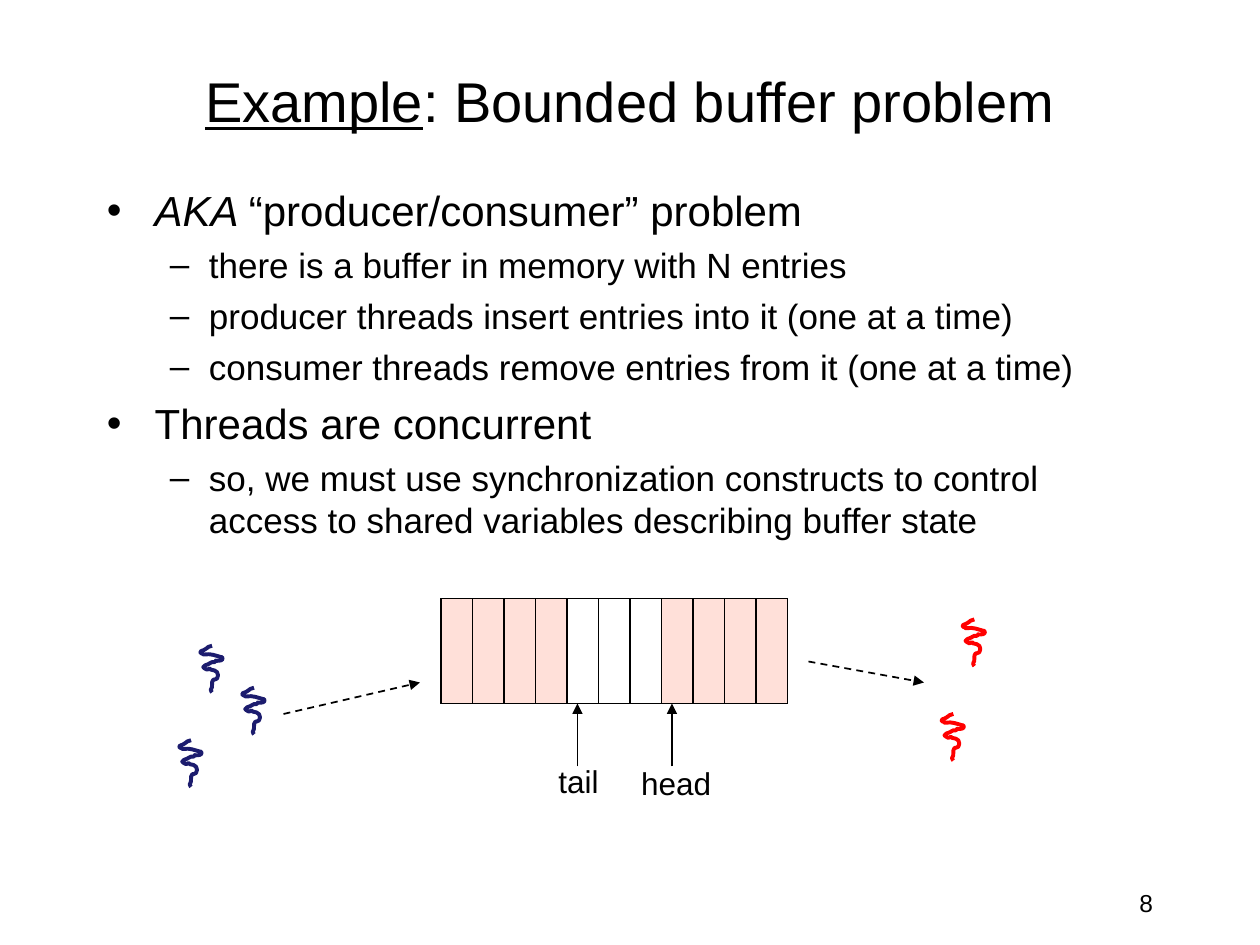
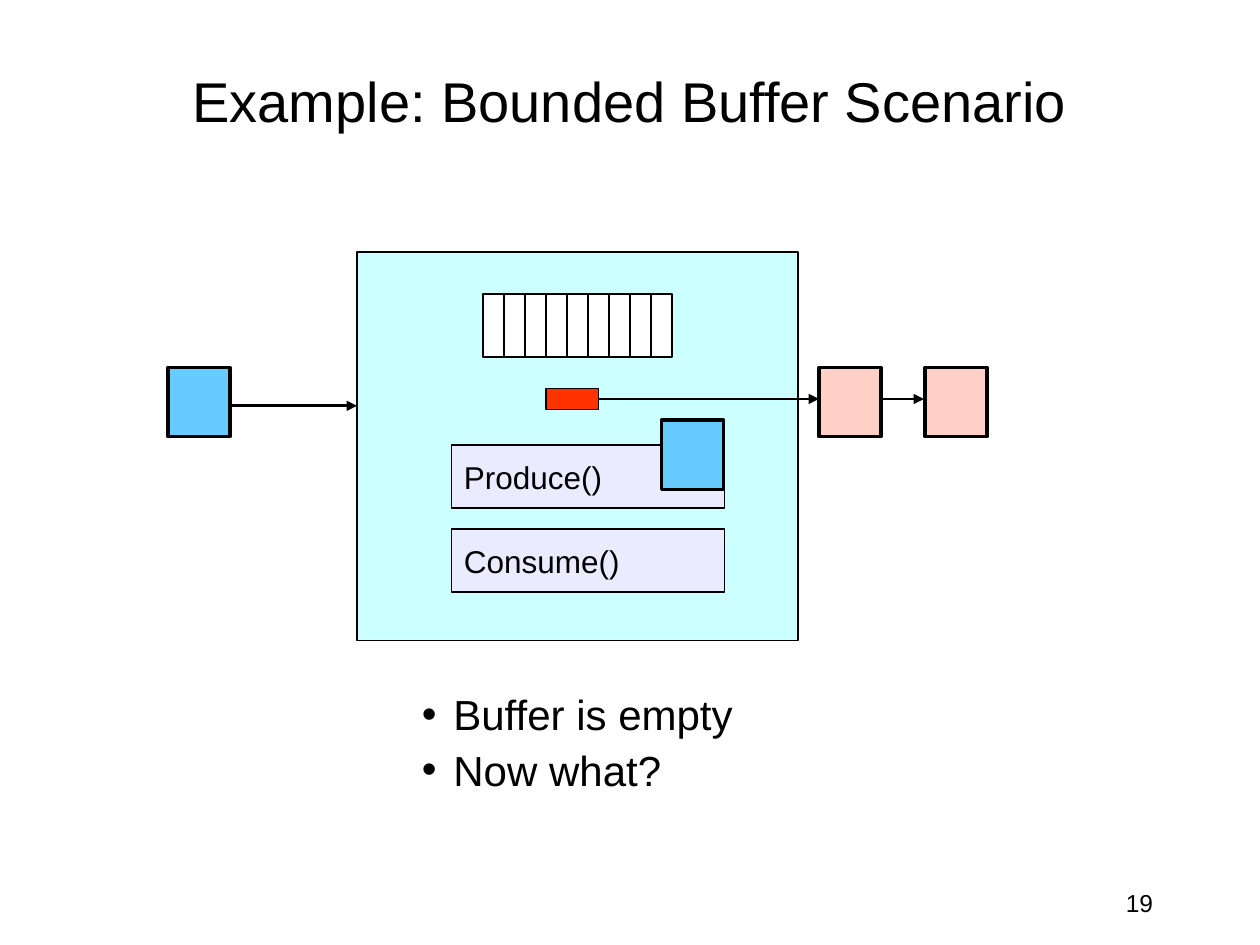
from dataclasses import dataclass

from lxml.etree import SubElement
from pptx import Presentation
from pptx.dml.color import RGBColor
from pptx.enum.dml import MSO_LINE
from pptx.enum.shapes import MSO_CONNECTOR, MSO_SHAPE
from pptx.enum.text import MSO_ANCHOR, PP_ALIGN
from pptx.oxml.ns import qn
from pptx.util import Inches, Pt


@dataclass(frozen=True)
class Theme:
    font: str = "Arial"
    ink: str = "000000"
    paper: str = "FFFFFF"
    used_entry: str = "FFE0D9"
    producer_thread: str = "1C1C6E"
    consumer_thread: str = "FF0000"
    monitor: str = "CCFFFF"
    procedure: str = "EBEBFF"
    producer: str = "66CCFF"
    consumer: str = "FFD0C5"
    condition: str = "FF3300"
    title_size: int = 32
    heading_size: int = 24
    detail_size: int = 20
    label_size: int = 18
    number_size: int = 14
    thin: float = 1
    medium: float = 1.5
    thick: float = 2
    squiggle: float = 2.25


@dataclass(frozen=True)
class Bullet:
    mark: str
    size: int
    left: float
    hanging: float
    space: float


THEME = Theme()
TOPIC = Bullet("•", THEME.heading_size, 0.38, 0.38, 6)
DETAIL = Bullet("–", THEME.detail_size, 0.81, 0.31, 5)
REMARK = Bullet("•", THEME.heading_size, 0.25, 0.25, 3)

UNIT = Inches(1) / 12
SQUIGGLE_START = (10, 0)
SQUIGGLE_CURVES = [
    ((9, 0), (8, 1), (7, 1)), ((6, 2), (3, 4), (2, 4)),
    ((1, 4), (0, 5), (1, 6)), ((2, 6), (3, 6), (3, 7)),
    ((4, 7), (4, 7), (4, 7)), ((9, 6), (13, 8), (17, 9)),
    ((18, 9), (18, 9), (18, 9)), ((20, 12), (15, 12), (14, 12)),
    ((11, 12), (15, 11), (12, 13)), ((11, 13), (11, 13), (10, 13)),
    ((4, 16), (11, 13), (6, 15)), ((5, 15), (4, 16), (4, 16)),
    ((3, 16), (3, 17), (3, 17)), ((3, 18), (5, 18), (6, 19)),
    ((7, 19), (8, 18), (8, 18)), ((9, 18), (9, 19), (9, 19)),
    ((11, 19), (13, 20), (14, 21)), ((15, 22), (15, 25), (14, 26)),
    ((13, 27), (11, 27), (11, 27)), ((10, 29), (10, 28), (10, 31)),
    ((10, 32), (10, 34), (9, 35)), ((10, 37), (9, 36), (10, 37)),
]


def grid(*units):
    return [round(unit * UNIT) for unit in units]


def colour(value):
    return RGBColor.from_string(value)


class Deck:
    def __init__(self, theme):
        self.theme = theme
        self.presentation = Presentation()
        self.presentation.slide_width, self.presentation.slide_height = grid(120, 90)
        self.slide = None

    def start_slide(self, title, number, underlined=""):
        self.slide = self.presentation.slides.add_slide(self.presentation.slide_layouts[6])
        self.text(86, 84, 25, 4, str(number), self.theme.number_size, PP_ALIGN.RIGHT)
        frame = self.text(9, 5, 102, 9, underlined or title, self.theme.title_size,
                          PP_ALIGN.CENTER)
        frame.vertical_anchor = MSO_ANCHOR.MIDDLE
        if underlined:
            paragraph = frame.paragraphs[0]
            paragraph.runs[0].font.underline = True
            paragraph.add_run().text = title
            self.format_runs(paragraph, self.theme.title_size)

    def format_runs(self, paragraph, size):
        for run in paragraph.runs:
            run.font.name = self.theme.font
            run.font.size = Pt(size)
            run.font.color.rgb = colour(self.theme.ink)

    def text(self, left, top, width, height, words, size, align=PP_ALIGN.LEFT):
        box = self.slide.shapes.add_textbox(*grid(left, top, width, height))
        frame = box.text_frame
        frame.word_wrap = True
        frame.text = words
        frame.paragraphs[0].alignment = align
        self.format_runs(frame.paragraphs[0], size)
        return frame

    def label(self, left, top, width, words):
        frame = self.text(left, top, width, 4.8, words, self.theme.label_size,
                          PP_ALIGN.CENTER)
        frame.paragraphs[0].space_before = Pt(2.2)

    def bullets(self, left, top, width, height, items):
        box = self.slide.shapes.add_textbox(*grid(left, top, width, height))
        frame = box.text_frame
        frame.word_wrap = True
        for index, (bullet, words) in enumerate(items):
            paragraph = frame.add_paragraph() if index else frame.paragraphs[0]
            paragraph.text = words
            paragraph.space_before = Pt(bullet.space)
            self.format_runs(paragraph, bullet.size)
            properties = paragraph._p.get_or_add_pPr()
            properties.set("marL", str(Inches(bullet.left)))
            properties.set("indent", str(-Inches(bullet.hanging)))
            SubElement(properties, qn("a:buFont")).set("typeface", self.theme.font)
            SubElement(properties, qn("a:buChar")).set("char", bullet.mark)
        return frame

    def outline(self, shape, line_colour, width):
        shape.line.color.rgb = colour(line_colour)
        shape.line.width = Pt(width)

    def box(self, left, top, width, height, fill=None, line=THEME.thin):
        shape = self.slide.shapes.add_shape(MSO_SHAPE.RECTANGLE,
                                            *grid(left, top, width, height))
        shape.shadow.inherit = False
        if fill:
            shape.fill.solid()
            shape.fill.fore_color.rgb = colour(fill)
        else:
            shape.fill.background()
        self.outline(shape, self.theme.ink, line)
        return shape

    def procedure(self, left, top, name):
        frame = self.box(left, top, 26, 6, self.theme.procedure).text_frame
        frame.word_wrap = True
        frame.vertical_anchor = MSO_ANCHOR.MIDDLE
        frame.text = name
        frame.paragraphs[0].alignment = PP_ALIGN.LEFT
        frame.paragraphs[0].space_before = Pt(2.2)
        self.format_runs(frame.paragraphs[0], self.theme.label_size)

    def thread_box(self, left, top, fill):
        self.box(left, top, 5.9, 6.6, fill, self.theme.thick)

    def line(self, start, end, width=THEME.thin, arrow=False, dashed=False):
        connector = self.slide.shapes.add_connector(MSO_CONNECTOR.STRAIGHT,
                                                    *grid(*start, *end))
        self.outline(connector, self.theme.ink, width)
        if dashed:
            connector.line.dash_style = MSO_LINE.DASH
        properties = connector._element.spPr
        if arrow:
            SubElement(properties.find(qn("a:ln")), qn("a:tailEnd")).set("type", "triangle")
        SubElement(properties, qn("a:effectLst"))

    def buffer(self, left, top, entry_width, height, entries, fill=None):
        self.box(left, top, entry_width * entries, height, fill)
        for entry in range(1, entries):
            x = left + entry * entry_width
            self.line((x, top), (x, top + height))

    def squiggle(self, left, top, line_colour):
        builder = self.slide.shapes.build_freeform(*SQUIGGLE_START, scale=Inches(0.01))
        builder.add_line_segments([point for curve in SQUIGGLE_CURVES for point in curve],
                                  close=False)
        shape = builder.convert_to_shape(*grid(left, top))
        shape.shadow.inherit = False
        shape.fill.background()
        self.outline(shape, line_colour, self.theme.squiggle)
        outline = next(shape._element.iter(qn("a:path")))
        segments = outline.findall(qn("a:lnTo"))
        for first in range(0, len(segments), 3):
            curve = SubElement(outline, qn("a:cubicBezTo"))
            for segment in segments[first:first + 3]:
                curve.append(segment[0])
                outline.remove(segment)


def build_problem(deck):
    theme = deck.theme
    deck.start_slide(": Bounded buffer problem", 8, underlined="Example")
    frame = deck.bullets(9, 17, 102, 65, [
        (TOPIC, "AKA "),
        (DETAIL, "there is a buffer in memory with N entries"),
        (DETAIL, "producer threads insert entries into it (one at a time)"),
        (DETAIL, "consumer threads remove entries from it (one at a time)"),
        (TOPIC, "Threads are concurrent"),
        (DETAIL, "so, we must use synchronization constructs to control access to "
                 "shared variables describing buffer state"),
    ])
    alias = frame.paragraphs[0]
    alias.runs[0].font.italic = True
    alias.add_run().text = "“producer/consumer” problem"
    deck.format_runs(alias, TOPIC.size)

    for left in (42, 63):
        deck.box(left, 57, 12, 10, theme.used_entry)
    deck.buffer(42, 57, 3, 10, 11)
    for x in (55, 64):
        deck.line((x, 73), (x, 67), arrow=True)
    deck.label(59.2, 72.2, 10.4, "head")
    deck.label(51.1, 72, 8, "tail")

    for left, top in ((19, 61.5), (17, 70.5), (23, 65.5)):
        deck.squiggle(left, top, theme.producer_thread)
    for left, top in ((91.6, 59), (89.6, 68)):
        deck.squiggle(left, top, theme.consumer_thread)
    deck.line((27, 68), (40, 65), arrow=True, dashed=True)
    deck.line((77, 63), (88, 65), arrow=True, dashed=True)


def build_scenario(deck):
    theme = deck.theme
    deck.start_slide("Example: Bounded Buffer Scenario", 19)
    deck.box(34, 24, 42, 37, theme.monitor)
    deck.procedure(43, 42.4, "Produce()")
    deck.procedure(43, 50.4, "Consume()")
    deck.line((22, 38.65), (34, 38.65), theme.medium, arrow=True)
    for left, top in ((63, 40), (16, 35)):
        deck.thread_box(left, top, theme.producer)
    for left in (78, 88.1):
        deck.thread_box(left, 35, theme.consumer)
    deck.buffer(46, 28, 2, 6, 9, theme.paper)
    deck.bullets(39, 65, 33, 11.3, [(REMARK, "Buffer is empty"), (REMARK, "Now what?")])
    deck.box(52, 37, 5, 2, theme.condition)
    for start, end in ((57, 78), (84, 88)):
        deck.line((start, 38), (end, 38), arrow=True)


def main():
    deck = Deck(THEME)
    build_problem(deck)
    build_scenario(deck)
    deck.presentation.save("out.pptx")


if __name__ == "__main__":
    main()
